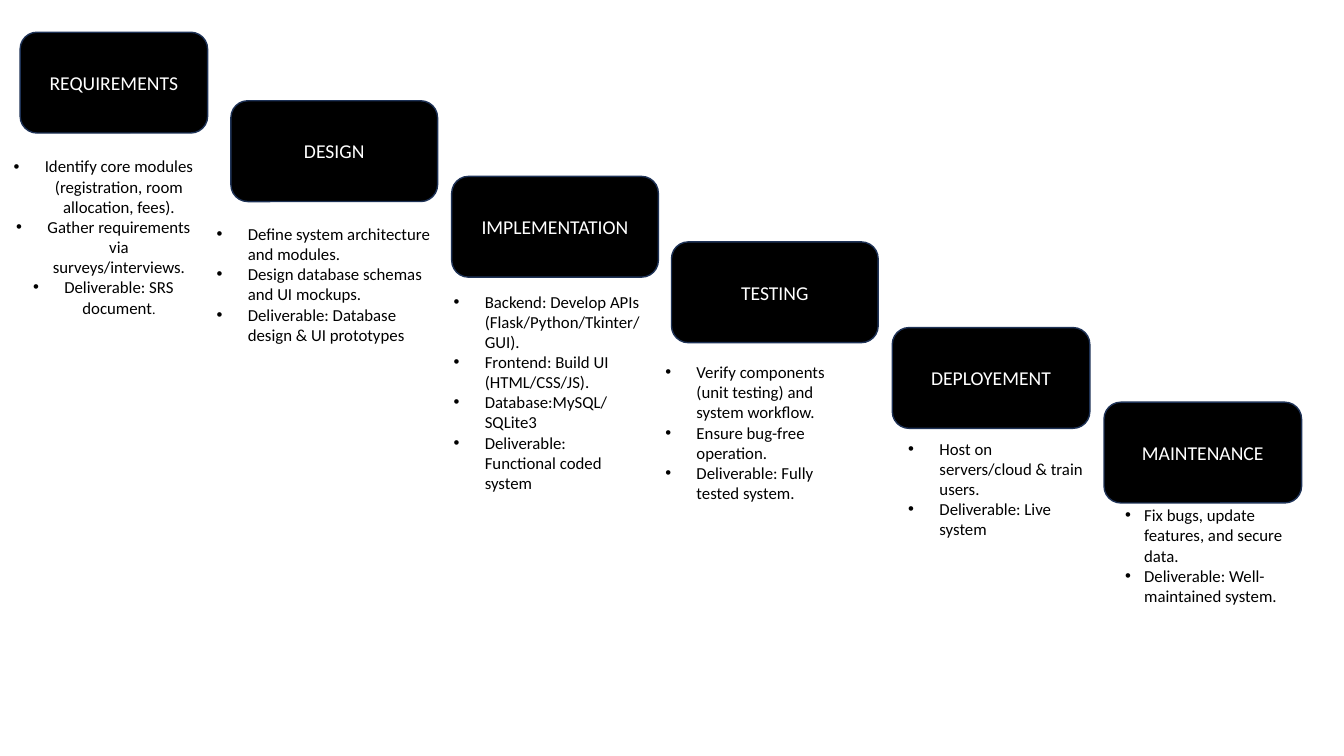
import pptx
import pptx.util
import pptx.dml.color
import pptx.enum.shapes
import pptx.enum.text
import pptx.oxml.ns
import lxml.etree

Inches = pptx.util.Inches
Align = pptx.enum.text.PP_ALIGN
COLOURS = {"card": "000000", "edge": "1E3256", "label": "FFFFFF", "body": "000000"}
CARD_HEIGHT = 1

STAGES = [
    {"name": "REQUIREMENTS", "card": (0.2, 0.32, 1.86), "notes": (0, 1.5, 2.05, 1.72),
     "align": Align.CENTER, "indent": 0.31,
     "points": [["Identify core modules (registration, room allocation, fees)."],
                ["Gather requirements via surveys/interviews."],
                ["Deliverable: SRS document", "."]]},
    {"name": "DESIGN", "card": (2.29, 1, 2.05), "notes": (2.05, 2.17, 2.34, 1.31),
     "align": Align.LEFT, "indent": 0.31,
     "points": [["Define system architecture and modules."],
                ["Design database schemas and UI mockups."],
                ["Deliverable: Database design & UI prototypes"]]},
    {"name": "IMPLEMENTATION", "card": (4.48, 1.75, 2.05), "notes": (4.4, 2.84, 2.05, 2.12),
     "align": Align.LEFT, "indent": 0.31,
     "points": [["Backend: Develop APIs (Flask/Python/Tkinter/GUI)."],
                ["Frontend: Build UI (HTML/CSS/JS)."],
                ["Database:MySQL/SQLite3"],
                ["Deliverable: Functional coded system"]]},
    {"name": "TESTING", "card": (6.66, 2.4, 2.05), "notes": (6.5, 3.54, 2.1, 1.51),
     "align": Align.LEFT, "indent": 0.31,
     "points": [["Verify components (unit testing) and system workflow."],
                ["Ensure bug-free operation."],
                ["Deliverable: Fully tested system."]]},
    {"name": "DEPLOYEMENT", "card": (8.85, 3.25, 1.96), "notes": (8.91, 4.3, 1.93, 1.11),
     "align": Align.LEFT, "indent": 0.31,
     "points": [["Host on servers/cloud & train users."],
                ["Deliverable: Live system"]]},
    {"name": "MAINTENANCE", "card": (10.95, 3.99, 1.96), "notes": (11.06, 4.96, 1.76, 1.11),
     "align": Align.LEFT, "indent": 0.19,
     "points": [["Fix bugs, update features, and secure data."],
                ["Deliverable: Well-maintained system."]]},
]


def add_span(para, text, size, colour):
    span = para.add_run()
    span.text = text
    for key, value in {"name": "Calibri", "size": pptx.util.Pt(size)}.items():
        setattr(span.font, key, value)
    span.font.color.rgb = pptx.dml.color.RGBColor.from_string(COLOURS[colour])


def add_bullet(para, indent):
    properties = para._p.get_or_add_pPr()
    properties.set("marL", str(Inches(indent)))
    properties.set("indent", str(-Inches(indent)))
    for tag, key, value in (("a:buFont", "typeface", "Arial"), ("a:buChar", "char", "•")):
        element = lxml.etree.SubElement(properties, pptx.oxml.ns.qn(tag))
        element.set(key, value)


deck = pptx.Presentation()
deck.slide_width = Inches(13.33)
deck.slide_height = Inches(7.5)
page = deck.slides.add_slide(deck.slide_layouts[6])

for stage in STAGES:
    left, top, width = map(Inches, stage["card"])
    card = page.shapes.add_shape(
        pptx.enum.shapes.MSO_SHAPE.ROUNDED_RECTANGLE, left, top, width, Inches(CARD_HEIGHT))
    card.shadow.inherit = False
    card.fill.solid()
    card.fill.fore_color.rgb = pptx.dml.color.RGBColor.from_string(COLOURS["card"])
    card.line.color.rgb = pptx.dml.color.RGBColor.from_string(COLOURS["edge"])
    card.line.width = pptx.util.Pt(1)
    card.text_frame.word_wrap = True
    card.text_frame.vertical_anchor = pptx.enum.text.MSO_ANCHOR.MIDDLE
    para = card.text_frame.paragraphs[0]
    para.alignment = Align.CENTER
    add_span(para, stage["name"], 14, "label")

for stage in STAGES:
    box = page.shapes.add_textbox(*map(Inches, stage["notes"]))
    frame = box.text_frame
    frame.word_wrap = True
    frame.auto_size = pptx.enum.text.MSO_AUTO_SIZE.SHAPE_TO_FIT_TEXT
    for number, point in enumerate(stage["points"]):
        para = frame.add_paragraph() if number else frame.paragraphs[0]
        para.alignment = stage["align"]
        add_bullet(para, stage["indent"])
        for text, size in zip(point, (12, 10)):
            add_span(para, text, size, "body")

deck.save("out.pptx")
